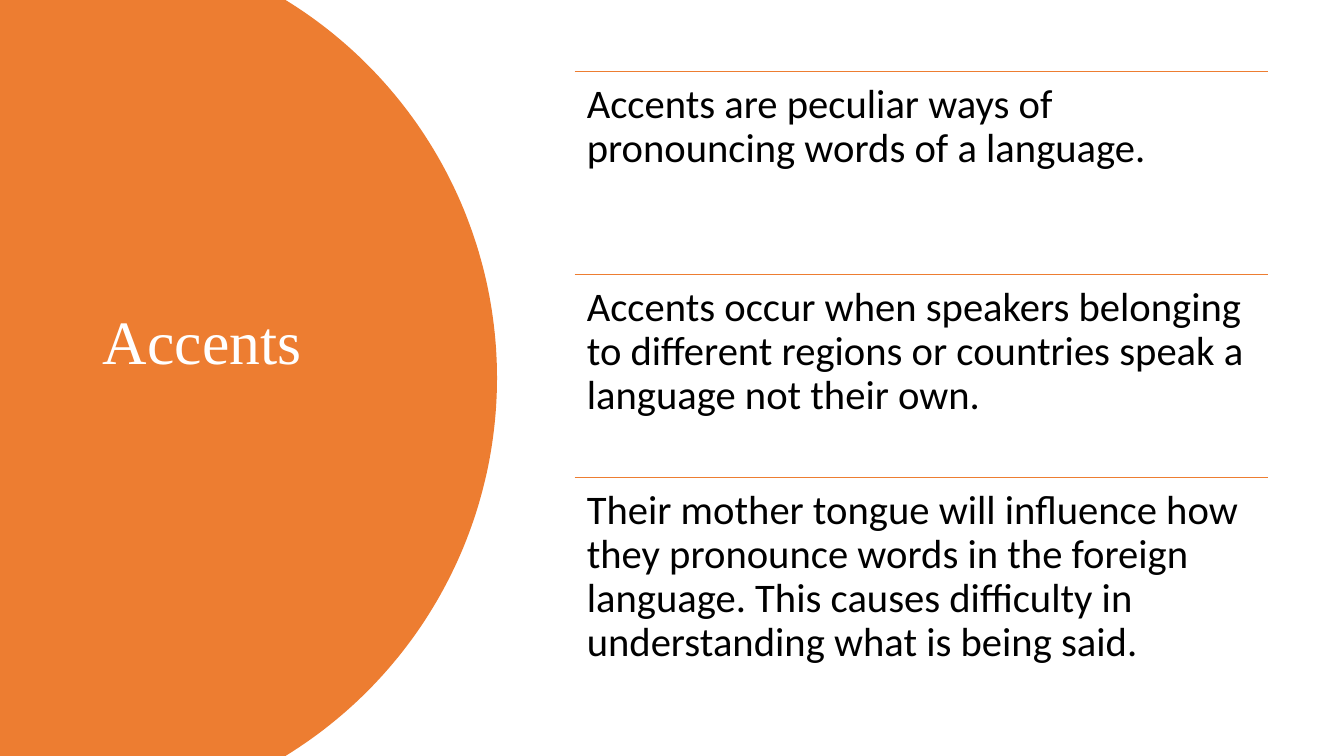
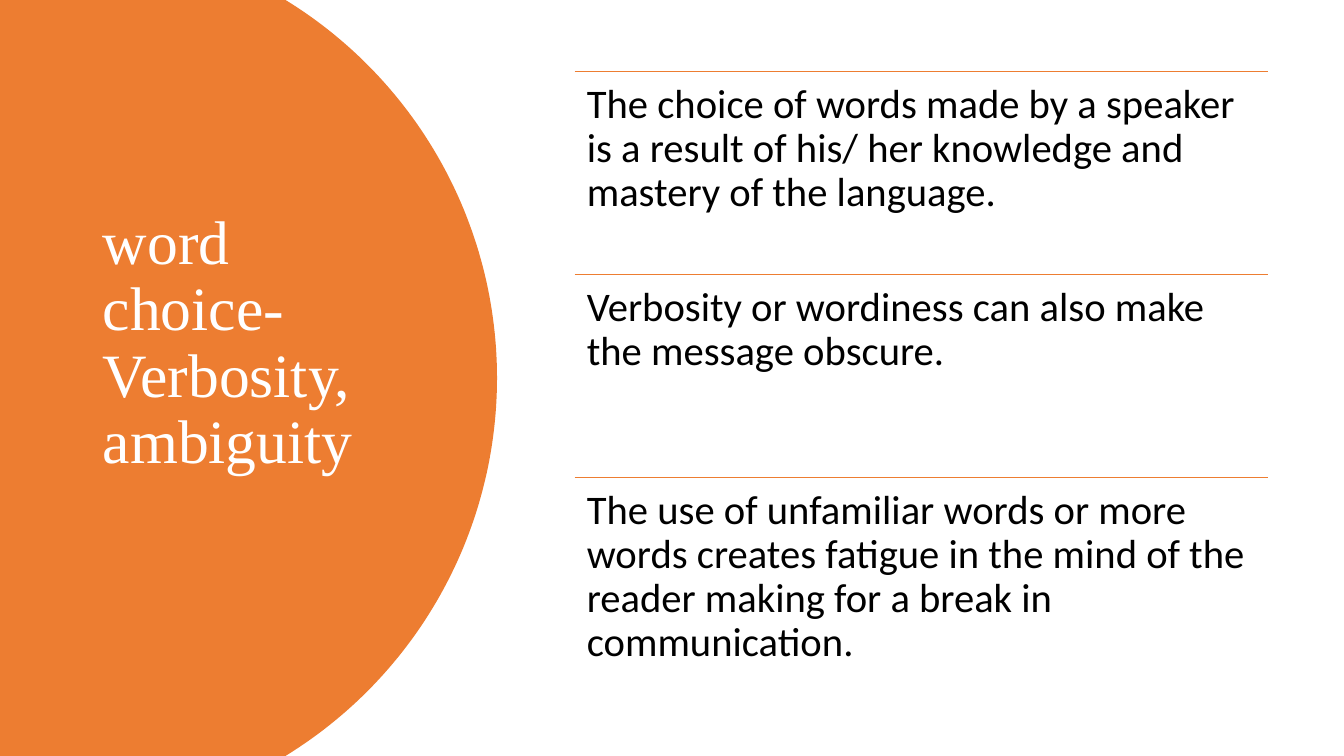
from math import asin, cos, sin

from lxml import etree
from pptx import Presentation
from pptx.dml.color import RGBColor
from pptx.enum.shapes import MSO_CONNECTOR
from pptx.enum.text import MSO_ANCHOR, MSO_AUTO_SIZE, PP_ALIGN
from pptx.oxml.ns import qn
from pptx.util import Pt

# Content: title and the points beside it
SLIDES = [
    ("Accents", [
        "Accents are peculiar ways of pronouncing words of a language.",
        "Accents occur when speakers belonging to different regions or "
        "countries speak a language not their own.",
        "Their mother tongue will influence how they pronounce words in the "
        "foreign language. This causes difficulty in understanding what is "
        "being said.",
    ]),
    ("word choice- Verbosity, ambiguity", [
        "The choice of words made by a speaker is a result of his/ her "
        "knowledge and mastery of the language.",
        "Verbosity or wordiness can also make the message obscure.",
        "The use of unfamiliar words or more words creates fatigue in the "
        "mind of the reader making for a break in communication.",
    ]),
]

# Shared look; lengths are px, 100 to the inch
PX = 9144
WIDTH, HEIGHT = 1333, 750
ORANGE = RGBColor(0xED, 0x7D, 0x31)
WHITE = RGBColor(0xFF, 0xFF, 0xFF)
BLACK = RGBColor(0, 0, 0)
LEFT, TOP, NONE = PP_ALIGN.LEFT, MSO_ANCHOR.TOP, MSO_AUTO_SIZE.NONE
MIDDLE, STRAIGHT = MSO_ANCHOR.MIDDLE, MSO_CONNECTOR.STRAIGHT
TITLE_ONLY = 5

TITLE_BOX = (92, 70, 323, 543)
TITLE_FONT = {"name": "Times New Roman", "size": Pt(44), "bold": False}
POINT_FONT = {"name": "Calibri", "size": Pt(29)}
TITLE_FRAME = {"word_wrap": True, "auto_size": NONE, "vertical_anchor": MIDDLE}
INSET = 12 * PX
POINT_FRAME = {"word_wrap": True, "auto_size": NONE, "vertical_anchor": TOP,
               "margin_left": INSET, "margin_right": INSET,
               "margin_top": INSET, "margin_bottom": INSET}

# Points column
POINTS_LEFT, POINTS_TOP, POINTS_WIDTH, POINTS_HEIGHT = 570, 71, 688, 604

# Disc that bleeds off the left, top and bottom edges
DISC_RIGHT, DISC_RADIUS, ARC_STEPS = 493, 440, 120


def set_all(target, values):
    for name, value in values.items():
        setattr(target, name, value)


def write(frame, text, frame_values, font_values, color):
    set_all(frame, frame_values)
    para = frame.paragraphs[0]
    para.alignment, para.line_spacing = LEFT, 0.9
    span = para.add_run()
    span.text = text
    set_all(span.font, font_values)
    span.font.color.rgb = color


def add_disc(page):
    middle = HEIGHT / 2
    reach = asin(middle / DISC_RADIUS)
    angles = [reach * (2 * step / ARC_STEPS - 1) for step in range(ARC_STEPS + 1)]
    center = DISC_RIGHT - DISC_RADIUS
    arc = [(center + DISC_RADIUS * cos(angle), middle + DISC_RADIUS * sin(angle))
           for angle in angles]
    outline = [(x * PX, y * PX) for x, y in arc + [(0, HEIGHT)]]
    builder = page.shapes.build_freeform(0, 0)
    builder.add_line_segments(outline, close=True)
    disc = builder.convert_to_shape()
    disc.shadow.inherit = False
    disc.fill.solid()
    disc.fill.fore_color.rgb = ORANGE
    disc.line.fill.background()
    return disc


def add_rule(page, top):
    rule = page.shapes.add_connector(
        STRAIGHT, POINTS_LEFT * PX, top, (POINTS_LEFT + POINTS_WIDTH) * PX, top)
    rule.line.color.rgb = ORANGE
    rule.line.width = Pt(1)
    etree.SubElement(rule.element.spPr, qn("a:effectLst"))


def add_slide(deck, title, points):
    page = deck.slides.add_slide(deck.slide_layouts[TITLE_ONLY])

    # Title over the disc
    heading = page.shapes.title
    set_all(heading, dict(zip(("left", "top", "width", "height"),
                              (length * PX for length in TITLE_BOX))))
    write(heading.text_frame, title, TITLE_FRAME, TITLE_FONT, WHITE)
    heading.element.addprevious(add_disc(page).element)

    # Ruled points, sharing the column height equally
    row_height = POINTS_HEIGHT * PX // len(points)
    for row, point in enumerate(points):
        top = POINTS_TOP * PX + row * row_height
        add_rule(page, top)
        box = page.shapes.add_textbox(
            POINTS_LEFT * PX, top, POINTS_WIDTH * PX, row_height)
        write(box.text_frame, point, POINT_FRAME, POINT_FONT, BLACK)


def main():
    deck = Presentation()
    deck.slide_width, deck.slide_height = WIDTH * PX, HEIGHT * PX
    for title, points in SLIDES:
        add_slide(deck, title, points)
    deck.save("out.pptx")


if __name__ == "__main__":
    main()
